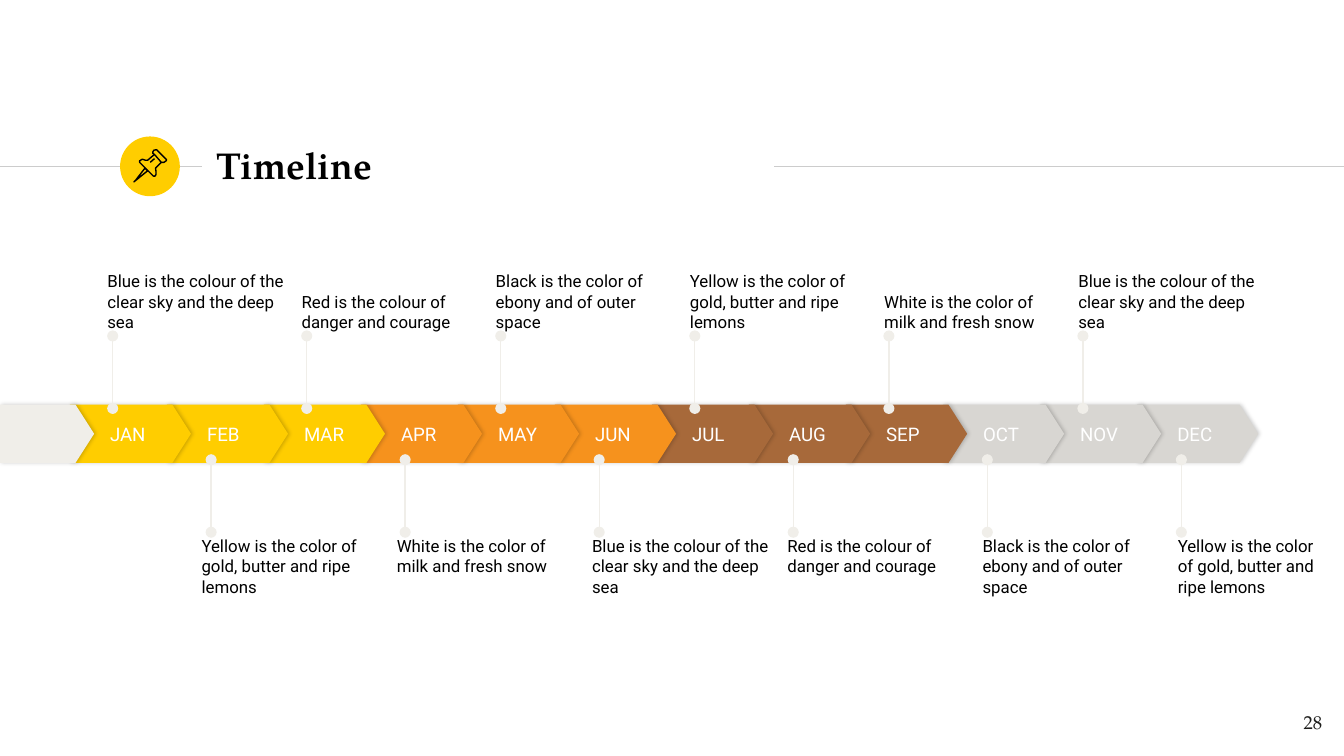
from lxml import etree
from pptx import Presentation
from pptx.dml.color import RGBColor
from pptx.enum.shapes import MSO_CONNECTOR, MSO_SHAPE
from pptx.enum.text import MSO_ANCHOR, MSO_AUTO_SIZE, PP_ALIGN
from pptx.oxml.ns import qn
from pptx.util import Cm, Pt

STRAIGHT = MSO_CONNECTOR.STRAIGHT
PENTAGON, OVAL = MSO_SHAPE.PENTAGON, MSO_SHAPE.OVAL
TOP, MIDDLE, BOTTOM = MSO_ANCHOR.TOP, MSO_ANCHOR.MIDDLE, MSO_ANCHOR.BOTTOM
LEFT, RIGHT = PP_ALIGN.LEFT, PP_ALIGN.RIGHT
NO_AUTOFIT = MSO_AUTO_SIZE.NONE

YELLOW = RGBColor(0xFF, 0xCD, 0x00)
ORANGE = RGBColor(0xF6, 0x92, 0x1D)
BROWN = RGBColor(0xA7, 0x69, 0x3A)
GREY = RGBColor(0xD8, 0xD6, 0xD2)
PALE = RGBColor(0xF0, 0xEE, 0xE9)
RULE = RGBColor(0xCC, 0xCC, 0xCC)
INK = RGBColor(0x1D, 0x1D, 0x1B)
BLACK = RGBColor(0x00, 0x00, 0x00)
WHITE = RGBColor(0xFF, 0xFF, 0xFF)
SERIF, SANS = "TeX Gyre Pagella", "Roboto"

prs = Presentation()
prs.slide_width, prs.slide_height = Cm(25.4), Cm(14.29)
slide = prs.slides.add_slide(prs.slide_layouts[5])
shapes = slide.shapes


def add_line(x1, y1, x2, y2, color):
    line = shapes.add_connector(STRAIGHT, Cm(x1), Cm(y1), Cm(x2), Cm(y2))
    line.line.color.rgb = color
    line.line.width = Pt(0.75)
    etree.SubElement(line._element.spPr, qn("a:effectLst"))
    return line


def write(shape, text, font, size, color, anchor, insets, align=LEFT):
    frame = shape.text_frame
    frame.word_wrap = True
    frame.auto_size = NO_AUTOFIT
    frame.vertical_anchor = anchor
    (frame.margin_left, frame.margin_top,
     frame.margin_right, frame.margin_bottom) = [Cm(inset) for inset in insets]
    frame.text = text
    paragraph = frame.paragraphs[0]
    paragraph.alignment = align
    paragraph.font.name, paragraph.font.size = font, Pt(size)
    paragraph.font.color.rgb = color


# Header rules, badge and title
add_line(0, 3.15, 3.81, 3.15, RULE)
badge = shapes.add_shape(OVAL, Cm(2.27), Cm(2.58), Cm(1.13), Cm(1.13))
badge.shadow.inherit = False
badge.fill.solid()
badge.fill.fore_color.rgb = YELLOW
badge.line.fill.background()
add_line(14.63, 3.15, 25.4, 3.15, RULE)

title = shapes.title
title.left, title.top, title.width, title.height = Cm(3.84), Cm(2.49), Cm(10.77), Cm(1.23)
write(title, "Timeline", SERIF, 20, BLACK, MIDDLE, [0.25] * 4)
title.text_frame.paragraphs[0].font.bold = True

# Page number
page_number = shapes.add_textbox(Cm(23.72), Cm(13.18), Cm(1.52), Cm(1.09))
write(page_number, "28", SERIF, 10, INK, TOP, [0.25] * 4, RIGHT)

# Month band, drawn from the last arrow so that each tip overlaps the next
MONTHS = ["JAN", "FEB", "MAR", "APR", "MAY", "JUN",
          "JUL", "AUG", "SEP", "OCT", "NOV", "DEC"]
QUARTER_COLORS = [YELLOW, ORANGE, BROWN, GREY]
MONTH_PITCH = 20.17 / 11
band = [("", 0, 1.78, PALE)]
for i, month in enumerate(MONTHS):
    band.append((month, 1.32 + i * MONTH_PITCH, 2.29, QUARTER_COLORS[i // 3]))

for month, x, width, color in reversed(band):
    arrow = shapes.add_shape(PENTAGON, Cm(x), Cm(7.65), Cm(width), Cm(1.1))
    arrow.adjustments[0] = 0.32
    arrow.fill.solid()
    arrow.fill.fore_color.rgb = color
    arrow.line.fill.background()
    arrow.shadow.inherit = False
    effects = arrow._element.spPr.find(qn("a:effectLst"))
    shadow = etree.SubElement(effects, qn("a:outerShdw"), blurRad=str(Pt(2.2)),
                              dist=str(Pt(0.8)), dir="0", algn="ctr", rotWithShape="0")
    black = etree.SubElement(shadow, qn("a:srgbClr"), val="000000")
    etree.SubElement(black, qn("a:alpha"), val="20000")
    if month:
        write(arrow, month, SANS, 10, WHITE, MIDDLE, [0.76, 0, 0, 0])

# Callouts above and below the band
BLUE_NOTE = "Blue is the colour of the clear sky and the deep sea"
RED_NOTE = "Red is the colour of danger and courage"
BLACK_NOTE = "Black is the color of ebony and of outer space"
YELLOW_NOTE = "Yellow is the color of gold, butter and ripe lemons"
WHITE_NOTE = "White is the color of milk and fresh snow"
UPPER_NOTES = [BLUE_NOTE, RED_NOTE, BLACK_NOTE, YELLOW_NOTE, WHITE_NOTE, BLUE_NOTE]
LOWER_NOTES = [YELLOW_NOTE, WHITE_NOTE, BLUE_NOTE, RED_NOTE, BLACK_NOTE, YELLOW_NOTE]

# notes, pin x, pin start y, pin end y, note x, note pitch, note y, anchor
CALLOUT_ROWS = [
    (UPPER_NOTES, 2.13, 7.72, 6.35, 2.03, 3.67, 4.8, BOTTOM),
    (LOWER_NOTES, 3.99, 10.06, 8.69, 3.81, 3.69, 10.13, TOP),
]
for notes, pin_x, start_y, end_y, note_x, note_pitch, note_y, anchor in CALLOUT_ROWS:
    for i, note in enumerate(notes):
        x = pin_x + i * 2 * MONTH_PITCH
        pin = add_line(x, start_y, x, end_y, PALE)
        for end in ("a:headEnd", "a:tailEnd"):
            etree.SubElement(pin.line._get_or_add_ln(), qn(end), type="oval")
        left = note_x + i * note_pitch
        width = min(3.48, 25.13 - left)
        callout = shapes.add_textbox(Cm(left), Cm(note_y), Cm(width), Cm(1.47))
        write(callout, note, SANS, 9, BLACK, anchor, [0] * 4)

# Pushpin icon, in hundredths of a centimetre: needle, head, body, highlight
PUSHPIN = [
    ([(274, 318), (257, 340), (253, 344), (258, 340), (279, 323)], True),
    ([(292, 292), (305, 307), (310, 307), (314, 304), (315, 302),
      (296, 283), (291, 284), (289, 287), (289, 290)], True),
    ([(292, 292), (279, 303), (275, 303), (269, 301), (264, 304), (264, 307),
      (290, 333), (293, 333), (295, 330), (295, 325), (294, 318), (305, 307)], False),
    ([(284, 307), (292, 300)], False),
]
for points, closed in PUSHPIN:
    builder = shapes.build_freeform(*points[0], scale=Cm(0.01))
    builder.add_line_segments(points[1:], close=closed)
    stroke = builder.convert_to_shape()
    stroke.shadow.inherit = False
    stroke.fill.background()
    stroke.line.color.rgb = BLACK
    stroke.line.width = Pt(0.75)

prs.save("out.pptx")
